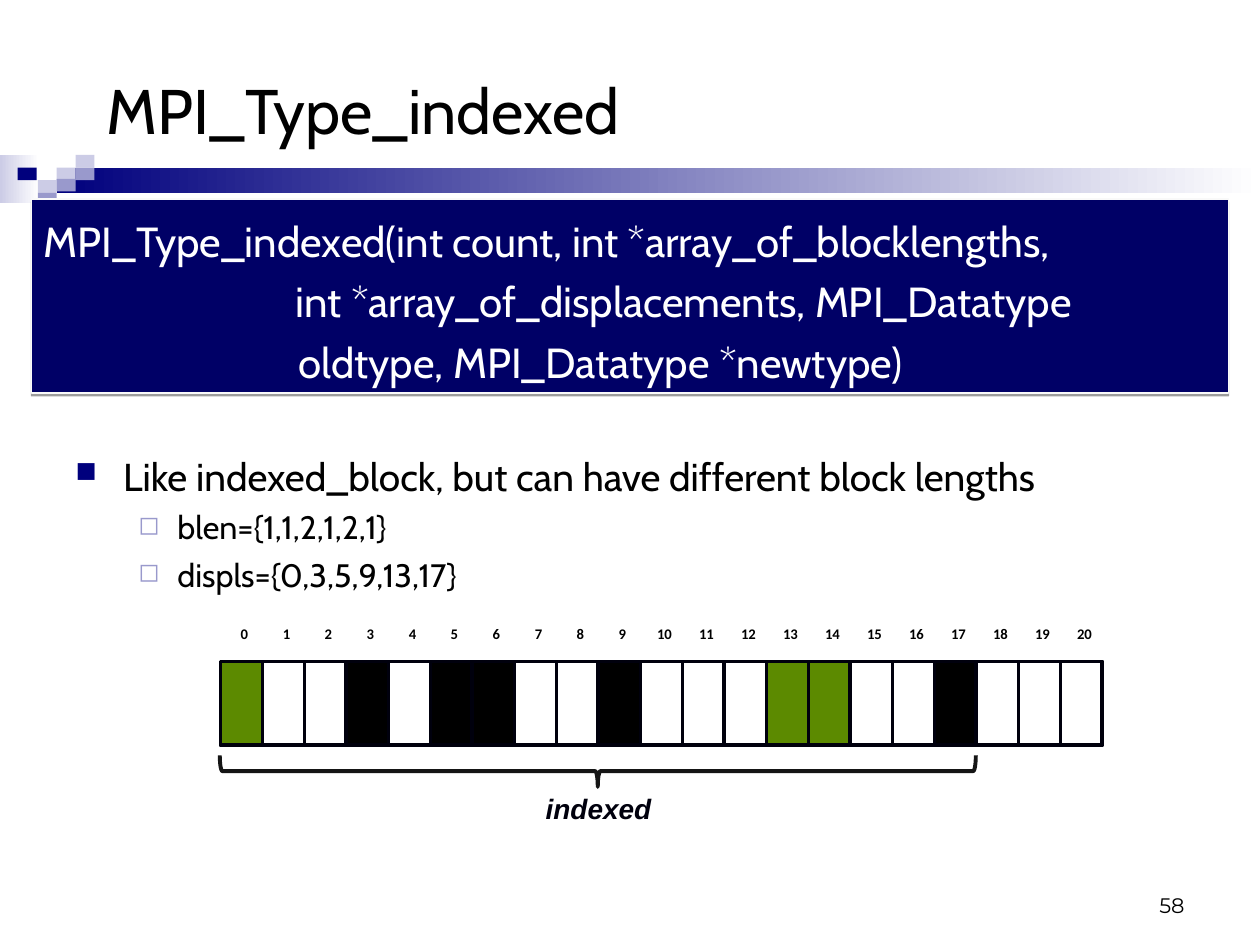
from lxml.etree import SubElement
from pptx import Presentation
from pptx.dml.color import RGBColor
from pptx.enum.shapes import MSO_SHAPE
from pptx.enum.text import MSO_ANCHOR, PP_ALIGN
from pptx.oxml.ns import qn
from pptx.util import Inches, Pt

BLACK = RGBColor(0x00, 0x00, 0x00)
WHITE = RGBColor(0xFF, 0xFF, 0xFF)
INK = RGBColor(0x00, 0x00, 0x0D)
BRACE = RGBColor(0x15, 0x15, 0x15)
NAVY = RGBColor(0x00, 0x00, 0x7D)
PANEL = RGBColor(0x00, 0x00, 0x66)
EDGE = RGBColor(0xF9, 0xF9, 0xF9)
LILAC = RGBColor(0x99, 0x99, 0xCC)
PALE = RGBColor(0xCC, 0xCC, 0xE6)
GREEN = RGBColor(0x5C, 0x8A, 0x00)


class Deck:
    """Holds the style and the current slide."""

    face = "Cabin"

    def __init__(self, wide, high):
        self.show = Presentation()
        self.show.slide_width = Inches(wide)
        self.show.slide_height = Inches(high)
        self.slide = self.show.slides.add_slide(self.show.slide_layouts[6])

    def shape(self, box, fill=None, line=None, width=2.25, kind=MSO_SHAPE.RECTANGLE):
        item = self.slide.shapes.add_shape(kind, *map(Inches, box))
        item.shadow.inherit = False
        if fill is None:
            item.fill.background()
        else:
            item.fill.solid()
            item.fill.fore_color.rgb = fill
        if line is None:
            item.line.fill.background()
        else:
            item.line.color.rgb = line
            item.line.width = Pt(width)
        return item

    def fade(self, box, start):
        item = self.shape(box)
        item.fill.gradient()
        item.fill.gradient_angle = 0
        for stop, tone in zip(item.fill.gradient_stops, (start, WHITE)):
            stop.color.rgb = tone

    def shade(self, item, drop):
        """Gives the shape a hard shadow straight below it."""
        effect = item._element.spPr.find(qn("a:effectLst"))
        outer = SubElement(effect, qn("a:outerShdw"), blurRad="0",
                           dist=str(Pt(drop)), dir="5400000", rotWithShape="0")
        tone = SubElement(outer, qn("a:srgbClr"), val=str(BLACK))
        SubElement(tone, qn("a:alpha"), val="38000")

    def box(self, box, anchor=MSO_ANCHOR.TOP):
        item = self.slide.shapes.add_textbox(*map(Inches, box))
        item.text_frame.vertical_anchor = anchor
        return item

    def para(self, item, text, size, color=BLACK, face=None, align=PP_ALIGN.LEFT,
             bold=False, italic=False, space=None, indent=0, hang=0, mark=None, before=0):
        """Adds one paragraph; mark is a bullet's sign, colour and percent."""
        frame = item.text_frame
        frame.word_wrap = True
        para = frame.paragraphs[0]
        if para.text:
            para = frame.add_paragraph()
            para.space_before = Pt(before)
        para.text = text
        para.alignment = align
        if space:
            para.line_spacing = space
        props = para._p.get_or_add_pPr()
        if indent:
            props.set("marL", str(Inches(indent)))
            props.set("indent", str(Inches(-hang)))
        if mark:
            sign, tone, part = mark
            SubElement(SubElement(props, qn("a:buClr")), qn("a:srgbClr"), val=str(tone))
            SubElement(props, qn("a:buSzPct"), val=str(part * 1000))
            SubElement(props, qn("a:buChar"), char=sign)
        font = para.font
        font.name = face or self.face
        font.size = Pt(size)
        font.bold = bold
        font.italic = italic
        font.color.rgb = color

    def save(self):
        self.show.save("out.pptx")


def main():
    deck = Deck(10, 7.5)

    # Header band with its mosaic of small tiles
    deck.fade((0, 1.23, 0.31, 0.38), PALE)
    deck.fade((0.45, 1.33, 9.55, 0.2), NAVY)
    tiles = [(0.45, 1.33, PALE), (0.6, 1.23, PALE), (0.6, 1.33, LILAC), (0.3, 1.43, PALE),
             (0.14, 1.33, NAVY), (0.45, 1.42, LILAC), (0.3, 1.53, LILAC)]
    for left, top, tone in tiles:
        deck.shape((left, top, 0.15, 0.1), tone)

    # Title
    title = deck.box((0.75, 0.42, 8.42, 0.89), MSO_ANCHOR.MIDDLE)
    deck.para(title, "MPI_Type_indexed", 36)

    # Bullets
    body = deck.box((0.5, 3.54, 9, 1.67))
    deck.para(body, "Like indexed_block, but can have different block lengths", 22.2,
              indent=0.38, hang=0.38, mark=("■", NAVY, 75))
    for text in ("blen={1,1,2,1,2,1}", "displs={0,3,5,9,13,17}"):
        deck.para(body, text, 18.5, indent=0.81, hang=0.31,
                  mark=("◻", LILAC, 80), before=5)

    # Function signature
    panel = deck.shape((0.25, 1.58, 9.5, 1.54), PANEL, EDGE, 0.75)
    deck.shade(panel, 1.6)
    panel.text_frame.vertical_anchor = MSO_ANCHOR.TOP
    lines = [("MPI_Type_indexed(int count, int *array_of_blocklengths,", 0),
             ("int *array_of_displacements, MPI_Datatype", 2),
             ("oldtype, MPI_Datatype *newtype)", 2.02)]
    for text, indent in lines:
        deck.para(panel, text, 24, WHITE, space=1.2, indent=indent)

    # Page number
    page = deck.box((7.17, 6.83, 2.33, 0.5), MSO_ANCHOR.BOTTOM)
    deck.para(page, "58", 12, face="Montserrat", align=PP_ALIGN.RIGHT)

    # Memory cells, filled block by block, with their index above
    starts = [0, 3, 5, 9, 13, 17]
    sizes = [1, 1, 2, 1, 2, 1]
    tones = [GREEN, BLACK, BLACK, BLACK, GREEN, BLACK]
    fills = {start + step: tone
             for start, size, tone in zip(starts, sizes, tones)
             for step in range(size)}
    pitch = 1 / 3
    for index in range(21):
        left = 1.75 + index * pitch
        deck.shape((left, 5.25, pitch, 2 * pitch), fills.get(index), INK)
        label = deck.shape((left, 4.92, 0.38, 0.25), line=WHITE)
        deck.para(label, str(index), 8.4, face="Calibri", align=PP_ALIGN.CENTER,
                  bold=True, space=0.8)

    # Brace under the indexed span
    brace = deck.shape((4.62, 3.12, 0.25, 6), line=BRACE, kind=MSO_SHAPE.LEFT_BRACE)
    brace.rotation = 270
    name = deck.box((4.06, 6.23, 1.38, 0.37))
    deck.para(name, "indexed", 16, INK, "Arial", PP_ALIGN.CENTER, bold=True, italic=True)

    deck.save()


if __name__ == "__main__":
    main()
